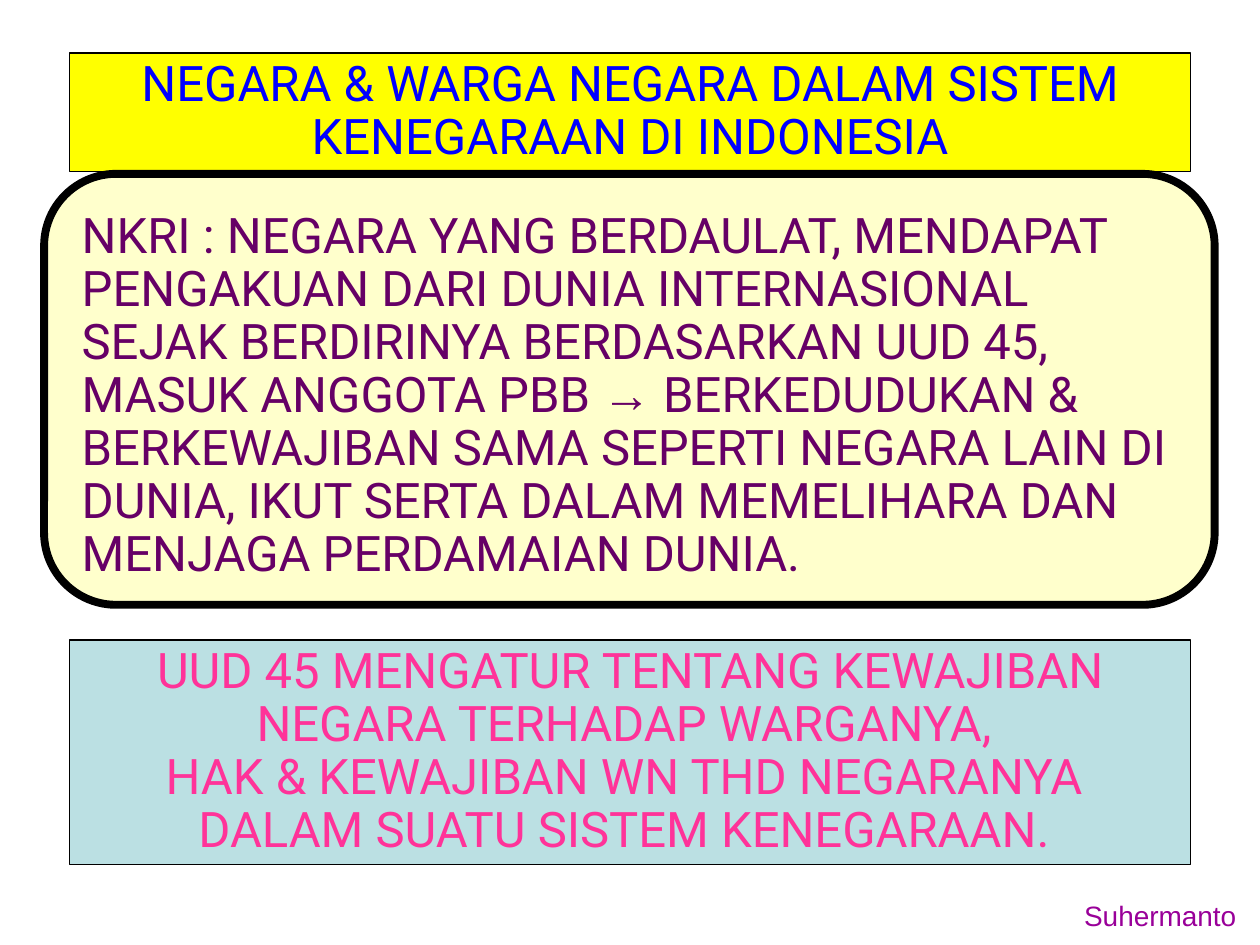
import pptx
import pptx.dml.color
import pptx.enum.shapes
import pptx.enum.text
import pptx.util

Inches = pptx.util.Inches
Pt = pptx.util.Pt
ALIGN = pptx.enum.text.PP_ALIGN
SHAPE = pptx.enum.shapes.MSO_SHAPE


def color(hex_string):
    return pptx.dml.color.RGBColor.from_string(hex_string)


def write(box, paragraphs, size, hex_string, align, spacing=1.0):
    """Fill a box with paragraphs, each a list of (text, font name) spans."""
    frame = box.text_frame
    frame.word_wrap = True
    frame.vertical_anchor = pptx.enum.text.MSO_ANCHOR.TOP
    for index, spans in enumerate(paragraphs):
        para = frame.paragraphs[0] if index == 0 else frame.add_paragraph()
        para.alignment = align
        para.line_spacing = spacing
        for text, font_name in spans:
            span = para.add_run()
            span.text = text
            span.font.name = font_name
            span.font.size = Pt(size)
            span.font.color.rgb = color(hex_string)


deck = pptx.Presentation()
deck.slide_width = Inches(10)
deck.slide_height = Inches(7.5)
page = deck.slides.add_slide(deck.slide_layouts[6])

left, width = Inches(0.55), Inches(8.9)

title = page.shapes.add_shape(SHAPE.RECTANGLE, left, Inches(0.42), width, Inches(0.94))
statement = page.shapes.add_group_shape()
panel = statement.shapes.add_shape(
    SHAPE.ROUNDED_RECTANGLE, Inches(0.35), Inches(1.38), Inches(9.29), Inches(3.42))
panel.adjustments[0] = 0.167
statement_text = statement.shapes.add_textbox(left, Inches(1.63), width, Inches(3.04))
rules = page.shapes.add_shape(SHAPE.RECTANGLE, left, Inches(5.08), width, Inches(1.78))
author = page.shapes.add_textbox(Inches(7.83), Inches(7.08), Inches(2.08), Inches(0.42))

for shape, fill, line_width in (
    (title, "FFFF00", 0.75),
    (panel, "FFFFCC", 4.5),
    (rules, "BBE0E3", 0.75),
):
    shape.shadow.inherit = False
    shape.fill.solid()
    shape.fill.fore_color.rgb = color(fill)
    shape.line.color.rgb = color("000000")
    shape.line.width = Pt(line_width)

write(title, [[("NEGARA & WARGA NEGARA DALAM SISTEM KENEGARAAN DI INDONESIA", "Roboto")]],
      28, "0000FF", ALIGN.CENTER, 0.9)
write(statement_text, [[
    ("NKRI : NEGARA YANG BERDAULAT, MENDAPAT PENGAKUAN DARI DUNIA INTERNASIONAL "
     "SEJAK BERDIRINYA BERDASARKAN UUD 45, MASUK ANGGOTA PBB ", "Roboto"),
    ("→", "Arial"),
    (" BERKEDUDUKAN & BERKEWAJIBAN SAMA SEPERTI NEGARA LAIN DI DUNIA, "
     "IKUT SERTA DALAM MEMELIHARA DAN MENJAGA PERDAMAIAN DUNIA.", "Roboto"),
]], 28, "660066", ALIGN.LEFT, 0.9)
write(rules, [
    [("UUD 45 MENGATUR TENTANG KEWAJIBAN NEGARA TERHADAP WARGANYA, ", "Roboto")],
    [("HAK & KEWAJIBAN WN THD NEGARANYA ", "Roboto")],
    [("DALAM SUATU SISTEM KENEGARAAN. ", "Roboto")],
], 28, "FF3399", ALIGN.CENTER, 0.9)
write(author, [[("Suhermanto", "Arial")]], 16, "990099", ALIGN.RIGHT)

deck.save("out.pptx")
